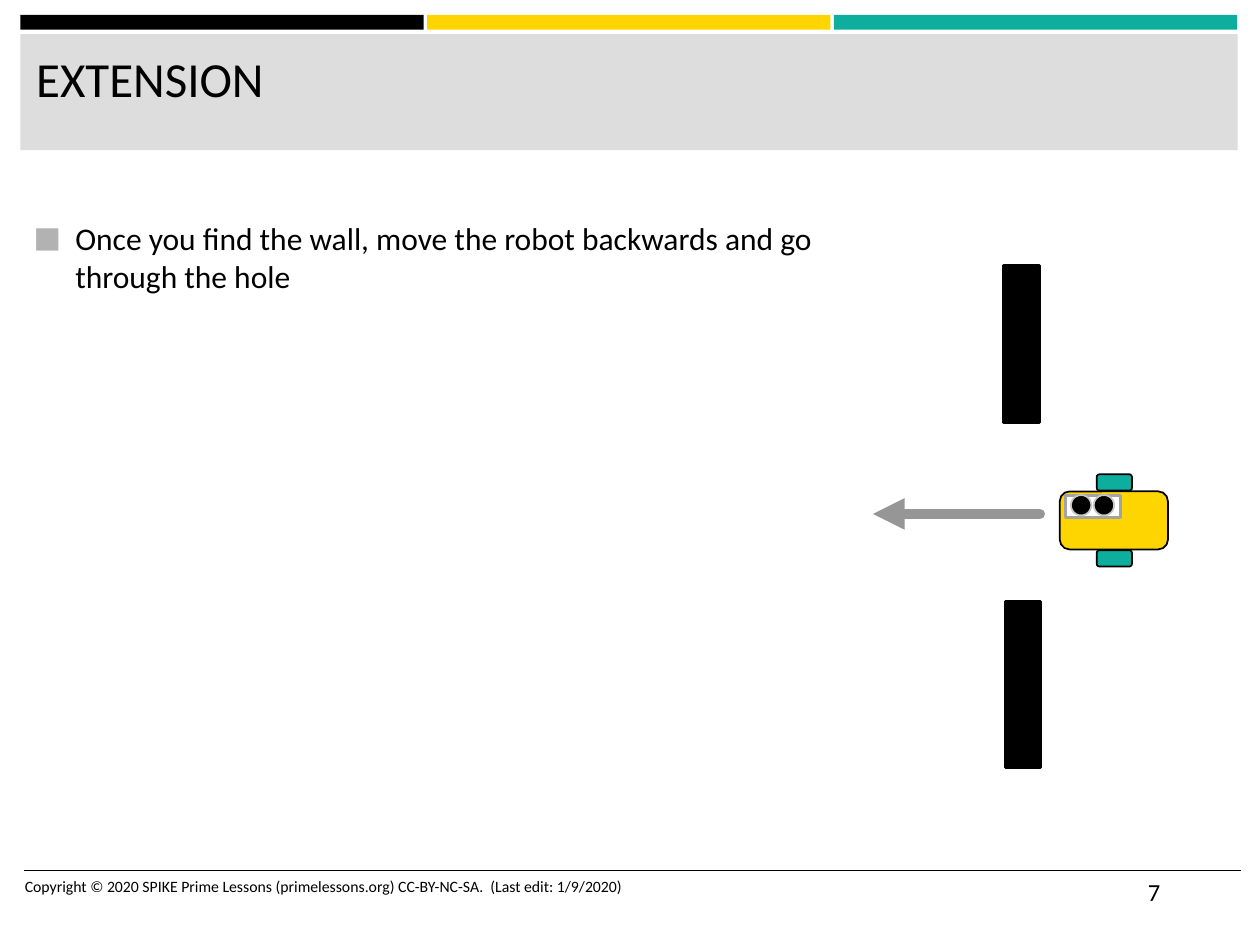
from lxml.etree import SubElement
from pptx import Presentation
from pptx.dml.color import RGBColor
from pptx.enum.shapes import MSO_CONNECTOR as Connector, MSO_SHAPE as Shape
from pptx.enum.text import MSO_ANCHOR as Anchor
from pptx.oxml.ns import qn
from pptx.util import Cm, Pt

BLACK, YELLOW, TEAL = "000000", "FFD500", "0EAE9F"
FONT = "Calibri"


def paint(color_format, color):
    color_format.rgb = RGBColor.from_string(color)


def add_block(slide, kind, box, fill, line=None, width=1, turn=0):
    block = slide.shapes.add_shape(kind, *map(Cm, box))
    block.shadow.inherit = False
    block.rotation = turn
    block.fill.solid()
    paint(block.fill.fore_color, fill)
    if line:
        paint(block.line.color, line)
        block.line.width = Pt(width)
    else:
        block.line.fill.background()


def add_line(slide, start, end, color, width, arrow=False):
    line = slide.shapes.add_connector(Connector.STRAIGHT, *map(Cm, start + end))
    paint(line.line.color, color)
    line.line.width = Pt(width)
    if arrow:
        stroke = line.line._get_or_add_ln()
        stroke.set("cap", "rnd")
        SubElement(stroke, qn("a:round"))
        SubElement(stroke, qn("a:tailEnd"), type="triangle")
    SubElement(line._element.spPr, qn("a:effectLst"))


def add_bullet(paragraph):
    props = paragraph._p.get_or_add_pPr()
    props.set("marL", str(Cm(0.84)))
    props.set("indent", str(-Cm(0.84)))
    tint = SubElement(props, qn("a:buClr"))
    SubElement(tint, qn("a:srgbClr"), val="B2B2B2")
    SubElement(props, qn("a:buSzPct"), val="92000")
    SubElement(props, qn("a:buFont"), typeface=FONT)
    SubElement(props, qn("a:buChar"), char="■")


def add_text(slide, box, words, size, bullet=False):
    frame = slide.shapes.add_textbox(*map(Cm, box)).text_frame
    frame.word_wrap = True
    frame.vertical_anchor = Anchor.TOP
    paragraph = frame.paragraphs[0]
    if bullet:
        add_bullet(paragraph)
    run = paragraph.add_run()
    run.text = words
    run.font.name = FONT
    run.font.size = Pt(size)
    paint(run.font.color, BLACK)


def add_header(slide):
    for column, color in enumerate((BLACK, YELLOW, TEAL)):
        add_block(slide, Shape.RECTANGLE, (0.41 + 8.2 * column, 0.3, 8.13, 0.3), color)
    add_block(slide, Shape.RECTANGLE, (0.41, 0.69, 24.54, 2.34), "DDDDDD")
    add_text(slide, (0.48, 0.85, 24.31, 2.08), "EXTENSION", 28)


def add_footer(slide):
    add_line(slide, (0.48, 17.55), (25.02, 17.55), BLACK, 1)
    add_text(slide, (0.25, 17.55, 13.54, 1.02),
             "Copyright © 2020 SPIKE Prime Lessons (primelessons.org) CC-BY-NC-SA.  "
             "(Last edit: 1/9/2020)", 9)
    add_text(slide, (22.89, 17.55, 2.13, 1.02), "7", 14)


def add_walls(slide):
    for wall in ((20.27, 12.12, 0.71, 3.35), (20.24, 5.36, 0.71, 3.15)):
        add_block(slide, Shape.RECTANGLE, wall, BLACK, BLACK, 1.75)


def add_robot(slide):
    add_block(slide, Shape.ROUNDED_RECTANGLE, (21.87, 9.4, 1.17, 2.18), YELLOW, BLACK, turn=270)
    for wheel_top in (9.37, 10.9):
        add_block(slide, Shape.ROUNDED_RECTANGLE, (22.3, wheel_top, 0.33, 0.71),
                  TEAL, BLACK, turn=270)
    add_block(slide, Shape.RECTANGLE, (21.82, 9.65, 0.43, 1.12), "FFFFFF", "A3A3A3", 1.75, 90)
    for eye_left in (22.05, 21.59):
        add_block(slide, Shape.OVAL, (eye_left, 9.98, 0.41, 0.41), BLACK, "C7C7C7", turn=270)


def main():
    deck = Presentation()
    deck.slide_width, deck.slide_height = Cm(25.4), Cm(19.05)
    slide = deck.slides.add_slide(deck.slide_layouts[6])
    add_header(slide)
    add_text(slide, (0.43, 4.29, 16.43, 13),
             "Once you find the wall, move the robot backwards and go through the hole",
             18, bullet=True)
    add_footer(slide)
    add_walls(slide)
    add_robot(slide)
    add_line(slide, (20.96, 10.36), (17.6, 10.36), "969696", 6, arrow=True)
    deck.save("out.pptx")


if __name__ == "__main__":
    main()
